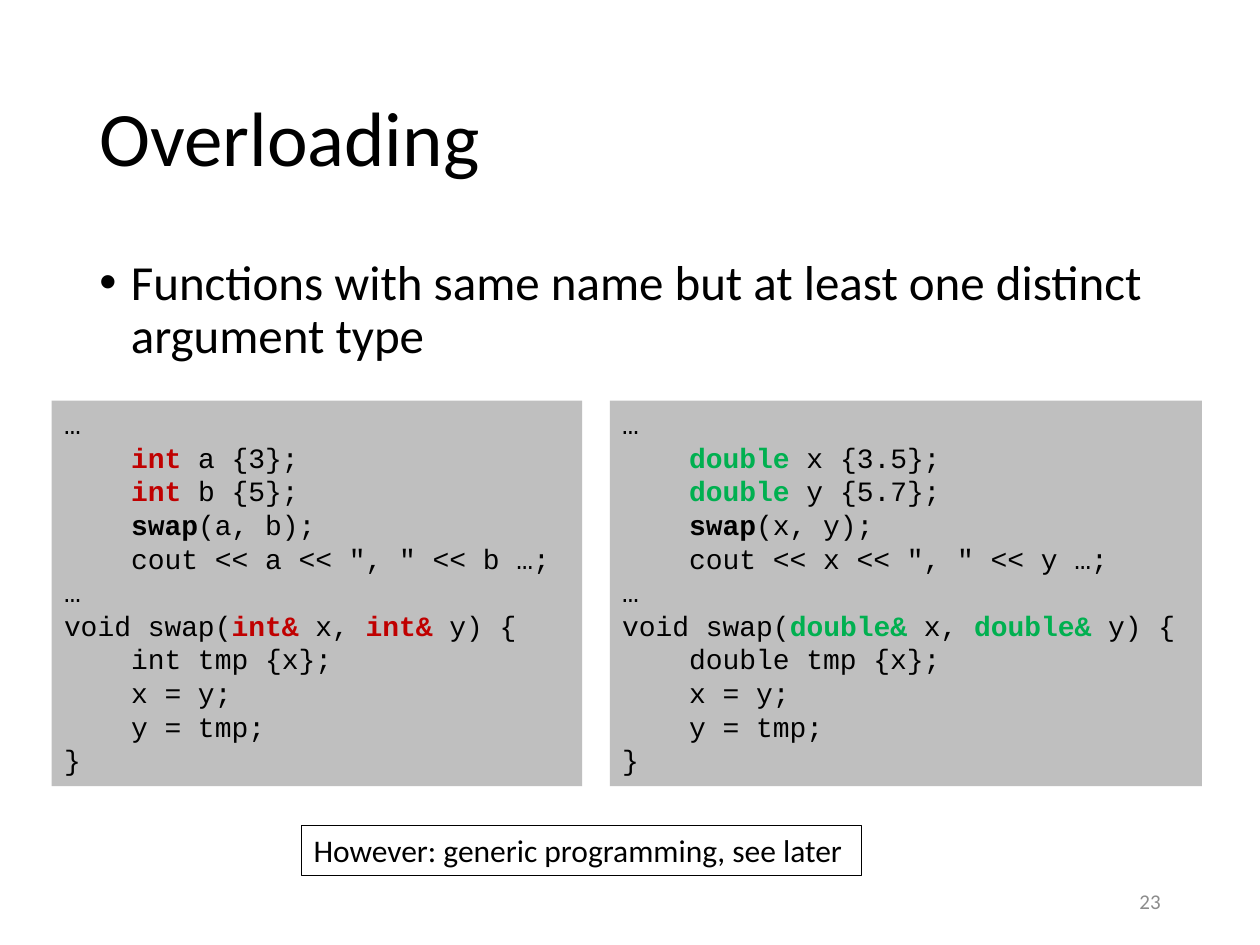
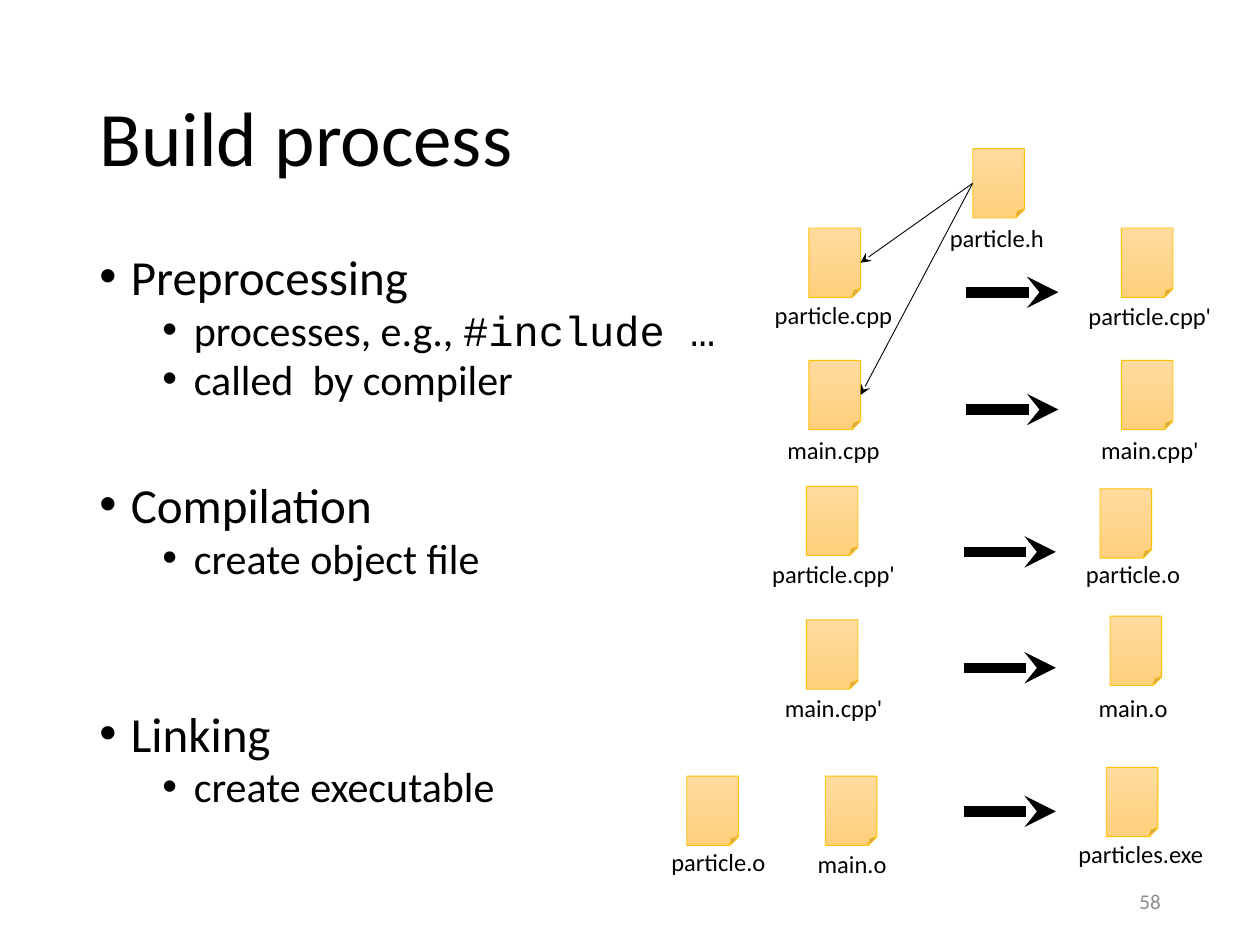
import pptx
import pptx.util
import pptx.dml.color
import pptx.enum.shapes
import pptx.enum.text
import pptx.oxml.ns
import lxml.etree

Inches = pptx.util.Inches
Pt = pptx.util.Pt
qn = pptx.oxml.ns.qn
RGB = pptx.dml.color.RGBColor.from_string
SHAPE = pptx.enum.shapes.MSO_SHAPE
ALIGN = pptx.enum.text.PP_ALIGN
ANCHOR = pptx.enum.text.MSO_ANCHOR

COLORS = {
    "text": "000000",
    "number": "8C8C8C",
    "code_bg": "BFBFBF",
    "int": "C00000",
    "double": "00B050",
    "file_top": "FFDB9E",
    "file_bottom": "FFD07C",
    "file_line": "FFC000",
}
BODY = (0.69, 2, 8.62, 4.76)


def add_text(sp, paragraphs, size, color="text", anchor=ANCHOR.TOP, wrap=True):
    tf = sp.text_frame
    tf.word_wrap = wrap
    tf.vertical_anchor = anchor
    for i, runs in enumerate(paragraphs):
        p = tf.paragraphs[0] if i == 0 else tf.add_paragraph()
        p.alignment = ALIGN.LEFT
        for text, style in runs:
            r = p.add_run()
            r.text = text
            r.font.size = Pt(style.get("size", size))
            r.font.name = style.get("font", "Calibri")
            r.font.bold = style.get("bold", False)
            r.font.color.rgb = RGB(COLORS[style.get("color", color)])
    return tf


def add_arrow(s, start, end, width):
    c = s.shapes.add_connector(pptx.enum.shapes.MSO_CONNECTOR.STRAIGHT,
                               *map(Inches, start + end))
    c.line.color.rgb = RGB(COLORS["text"])
    c.line.width = Pt(width)
    ln = c.line._get_or_add_ln()
    lxml.etree.SubElement(ln, qn("a:tailEnd"), type="stealth")
    lxml.etree.SubElement(c._element.spPr, qn("a:effectLst"))
    return c


prs = pptx.Presentation()
prs.slide_width, prs.slide_height = Inches(10), Inches(7.5)

bullets = [
    [(0, 0, [("Functions with same name but at least one distinct argument type", {})])],
    [
        (0, 0, [("Preprocessing", {})]),
        (1, 5, [("processes, e.g., ", {}), ("#include …", {"font": "Courier New"})]),
        (1, 5, [("called  by compiler", {})]),
        (0, 47.3, [("Compilation", {})]),
        (1, 5, [("create object file", {})]),
        (0, 75.7, [("Linking", {})]),
        (1, 5, [("create executable", {})]),
    ],
]
pages = [("Overloading", "23", 0.9), ("Build process", "58", 0.8)]
slides = []
for (title, number, spacing), items in zip(pages, bullets):
    s = prs.slides.add_slide(prs.slide_layouts[6])
    slides.append(s)
    sp = s.shapes.add_textbox(*map(Inches, (0.69, 0.4, 8.62, 1.45)))
    tf = add_text(sp, [[(title, {})]], 44, anchor=ANCHOR.MIDDLE)
    tf.paragraphs[0].line_spacing = 0.9

    sp = s.shapes.add_textbox(*map(Inches, BODY))
    tf = add_text(sp, [[(text, {"size": 28 - 4 * level, **style}) for text, style in runs]
                       for level, gap, runs in items], 28)
    for p, (level, gap, runs) in zip(tf.paragraphs, items):
        p.level = level
        p.line_spacing = spacing
        p.space_before = Pt(gap)
        pPr = p._p.get_or_add_pPr()
        pPr.set("marL", str(Inches(0.25 + 0.5 * level)))
        pPr.set("indent", str(Inches(-0.25)))
        lxml.etree.SubElement(pPr, qn("a:buFont"), typeface="Arial")
        lxml.etree.SubElement(pPr, qn("a:buChar"), char="•")

    sp = s.shapes.add_textbox(*map(Inches, (7.06, 6.95, 2.25, 0.4)))
    tf = add_text(sp, [[(number, {})]], 12, "number", ANCHOR.MIDDLE)
    tf.paragraphs[0].alignment = ALIGN.RIGHT

overloading, build = slides

for left, width, kind, u, v, first, second in [
    (0.41, 4.21, "int", "a", "b", "3", "5"),
    (4.84, 4.7, "double", "x", "y", "3.5", "5.7"),
]:
    code = [
        "…",
        f"    *{kind}* {u} {{{first}}};",
        f"    *{kind}* {v} {{{second}}};",
        f"    *swap*({u}, {v});",
        f'    cout << {u} << ", " << {v} …;',
        "…",
        f"void swap(*{kind}&* x, *{kind}&* y) {{",
        f"    {kind} tmp {{x}};",
        "    x = y;",
        "    y = tmp;",
        "}",
    ]
    lines = []
    for line in code:
        runs = []
        for i, part in enumerate(line.split("*")):
            bold = i % 2 == 1
            color = kind if bold and part.startswith(kind) else "text"
            runs.append((part, {"font": "Courier New", "bold": bold, "color": color}))
        lines.append(runs)
    sp = overloading.shapes.add_shape(SHAPE.RECTANGLE, *map(Inches, (left, 3.18, width, 3.06)))
    sp.shadow.inherit = False
    sp.fill.solid()
    sp.fill.fore_color.rgb = RGB(COLORS["code_bg"])
    sp.line.fill.background()
    add_text(sp, lines, 16)

sp = overloading.shapes.add_shape(SHAPE.RECTANGLE, *map(Inches, (2.39, 6.55, 4.45, 0.4)))
sp.shadow.inherit = False
sp.fill.background()
sp.line.color.rgb = RGB(COLORS["text"])
sp.line.width = Pt(0.75)
add_text(sp, [[("However: generic programming, see later", {})]], 18, wrap=False)

label_widths = {
    "particle.cpp": 1.15, "particle.cpp'": 1.19, "particle.h": 0.96, "particle.o": 0.96,
    "main.cpp": 0.94, "main.cpp'": 0.98, "main.o": 0.75, "particles.exe": 1.21,
}
files = [
    ("particle.h", 7.72, 1.18, 7.44, 1.72),
    ("particle.cpp", 6.42, 1.81, 6.05, 2.33),
    ("main.cpp", 6.42, 2.86, 6.15, 3.4),
    ("particle.cpp'", 8.9, 1.81, 8.54, 2.34),
    ("main.cpp'", 8.9, 2.86, 8.64, 3.4),
    ("particle.cpp'", 6.4, 3.86, 6.03, 4.39),
    ("main.cpp'", 6.4, 4.92, 6.13, 5.45),
    ("particle.o", 8.73, 3.88, 8.52, 4.39),
    ("main.o", 8.81, 4.89, 8.62, 5.45),
    ("particle.o", 5.45, 6.16, 5.23, 6.67),
    ("main.o", 6.55, 6.16, 6.39, 6.69),
    ("particles.exe", 8.78, 6.09, 8.46, 6.61),
]
icons = []
for name, x, y, label_x, label_y in files:
    sp = build.shapes.add_shape(SHAPE.FOLDED_CORNER, *map(Inches, (x, y, 0.41, 0.55)))
    sp.shadow.inherit = False
    sp.fill.gradient()
    sp.fill.gradient_angle = 270
    for stop, color in zip(sp.fill.gradient_stops, ("file_top", "file_bottom")):
        stop.color.rgb = RGB(COLORS[color])
    sp.line.color.rgb = RGB(COLORS["file_line"])
    sp.line.width = Pt(0.5)
    icons.append(sp)
    sp = build.shapes.add_textbox(*map(Inches, (label_x, label_y, label_widths[name], 0.34)))
    add_text(sp, [[(name, {})]], 14, wrap=False)

header, *sources = icons[:3]
for source, y in zip(sources, (2.08, 3.14)):
    c = add_arrow(build, (7.72, 1.46), (6.83, y), 0.5)
    c.begin_connect(header, 1)
    c.end_connect(source, 3)

for x, y in [(7.67, 2.32), (7.67, 3.25), (7.65, 4.38), (7.65, 5.3), (7.65, 6.44)]:
    add_arrow(build, (x, y), (x + 0.73, y), 6)

prs.save("out.pptx")
